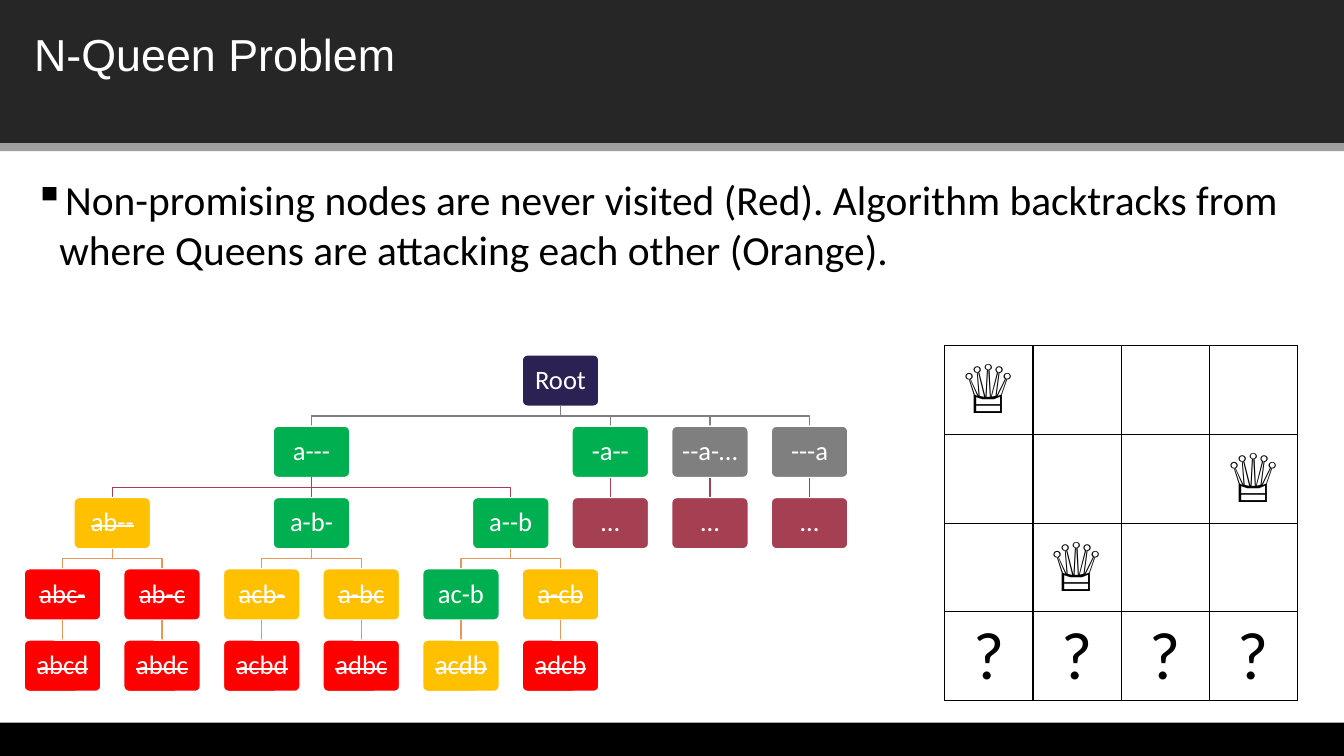
"""Builds the N-Queen backtracking slide."""
from lxml import etree
from pptx import Presentation
from pptx import util as u
from pptx.dml.color import RGBColor
from pptx.enum import shapes, text
from pptx.oxml import ns

GREEN, ORANGE, RED, GREY, WINE, NAVY = "00B050", "FFC000", "FF0000", "7F7F7F", "A53F52", "2C2153"
BRANCH_COLOURS = [GREY, WINE, "E99757", "E99757"]
LEVELS = [
    [("Root", 5, NAVY, None)],
    [("a---", 2.5, GREEN, 5), ("-a--", 5.5, GREEN, 5),
     ("--a-…", 6.5, GREY, 5), ("---a", 7.5, GREY, 5)],
    [("ab--", 0.5, ORANGE, 2.5), ("a-b-", 2.5, GREEN, 2.5), ("a--b", 4.5, GREEN, 2.5)]
    + [("…", column, WINE, column) for column in (5.5, 6.5, 7.5)],
    [("abc-", 0, RED, 0.5), ("ab-c", 1, RED, 0.5), ("acb-", 2, ORANGE, 2.5),
     ("a-bc", 3, ORANGE, 2.5), ("ac-b", 4, GREEN, 4.5), ("a-cb", 5, ORANGE, 4.5)],
    [(name, column, ORANGE if name == "acdb" else RED, column)
     for column, name in enumerate(["abcd", "abdc", "acbd", "adbc", "acdb", "adcb"])],
]
BOARD = ["♕...", "...♕", ".♕..", "????"]
NODE_WIDTH, NODE_HEIGHT = 0.76, 0.51
COLUMN_STEP = (8.03 - 0.62) / 7.5
LEVEL_STEP = (6.35 - 3.52) / 4


def colour(value):
    return RGBColor.from_string(value)


def column_x(column):
    return 0.62 + column * COLUMN_STEP


def level_y(level):
    return 3.52 + level * LEVEL_STEP


class Slide:
    def __init__(self, page, font="Calibri"):
        self.page, self.font = page, font

    def add_span(self, para, words, size, ink, font=None, struck=False):
        span = para.add_run()
        span.text = words
        span.font.name = font or self.font
        span.font.size = u.Pt(size)
        span.font.color.rgb = colour(ink)
        if struck:
            span._r.get_or_add_rPr().set("strike", "sngStrike")

    def shape(self, kind, left, top, width, height, fill, outline=None):
        box = self.page.shapes.add_shape(
            kind, u.Inches(left), u.Inches(top), u.Inches(width), u.Inches(height))
        box.shadow.inherit = False
        box.fill.solid()
        box.fill.fore_color.rgb = colour(fill)
        if outline:
            box.line.color.rgb = colour(outline)
            box.line.width = u.Pt(1)
        else:
            box.line.fill.background()
        return box

    def bar(self, top, height, fill):
        self.shape(shapes.MSO_SHAPE.RECTANGLE, 0, top, 13.33, height, fill)

    def text_box(self, left, top, width, height, words, size, ink, font=None, bullet=None):
        box = self.page.shapes.add_textbox(
            u.Inches(left), u.Inches(top), u.Inches(width), u.Inches(height))
        box.text_frame.word_wrap = True
        para = box.text_frame.paragraphs[0]
        if bullet:
            props = para._p.get_or_add_pPr()
            props.set("marL", str(u.Inches(0.25)))
            props.set("indent", str(u.Inches(-0.25)))
            etree.SubElement(props, ns.qn("a:buChar")).set("char", bullet)
        self.add_span(para, words, size, ink, font)

    def node(self, name, column, level, fill):
        box = self.shape(shapes.MSO_SHAPE.ROUNDED_RECTANGLE, column_x(column) - NODE_WIDTH / 2,
                         level_y(level), NODE_WIDTH, NODE_HEIGHT, fill, "FFFFFF")
        box.adjustments[0] = 0.1
        frame = box.text_frame
        frame.word_wrap = False
        frame.vertical_anchor = text.MSO_ANCHOR.MIDDLE
        frame.margin_left = frame.margin_right = u.Inches(0.08)
        frame.margin_top = frame.margin_bottom = u.Inches(0.08)
        para = frame.paragraphs[0]
        para.alignment = text.PP_ALIGN.CENTER
        para.line_spacing = 0.9
        self.add_span(para, name, 19, "FFFFFF", struck=fill in (ORANGE, RED))

    def branch(self, parent, column, level, ink):
        start, end = u.Inches(column_x(parent)), u.Inches(column_x(column))
        top, bottom = u.Inches(level_y(level - 1) + NODE_HEIGHT), u.Inches(level_y(level))
        if parent == column:
            link = self.page.shapes.add_connector(
                shapes.MSO_CONNECTOR.STRAIGHT, start, top, end, bottom)
            etree.SubElement(link._element.spPr, ns.qn("a:effectLst"))
        else:
            middle = (top + bottom) // 2
            builder = self.page.shapes.build_freeform(start, top)
            builder.add_line_segments([(start, middle), (end, middle), (end, bottom)], close=False)
            link = builder.convert_to_shape()
            link.shadow.inherit = False
            link.fill.background()
        link.line.color.rgb = colour(ink)
        link.line.width = u.Pt(1)

    def border(self, cell, ink):
        props = cell._tc.get_or_add_tcPr()
        for side in ("lnL", "lnR", "lnT", "lnB"):
            edge = etree.SubElement(props, ns.qn("a:" + side), w=str(u.Pt(1)))
            fill = etree.SubElement(edge, ns.qn("a:solidFill"))
            etree.SubElement(fill, ns.qn("a:srgbClr"), val=ink)

    def board(self, left, top, width, height, rows):
        table = self.page.shapes.add_table(
            len(rows), len(rows[0]), u.Inches(left), u.Inches(top),
            u.Inches(width), u.Inches(height)).table
        table.first_row = table.horz_banding = False
        for r, row in enumerate(rows):
            for c, mark in enumerate(row):
                cell = table.cell(r, c)
                self.border(cell, "000000")
                cell.fill.background()
                cell.vertical_anchor = text.MSO_ANCHOR.MIDDLE
                cell.margin_left = cell.margin_right = u.Inches(0.08)
                cell.margin_top = cell.margin_bottom = u.Inches(0.04)
                if mark != ".":
                    para = cell.text_frame.paragraphs[0]
                    para.alignment = text.PP_ALIGN.CENTER
                    self.add_span(para, mark, 48, "000000")


def main():
    deck = Presentation()
    deck.slide_width, deck.slide_height = u.Inches(13.33), u.Inches(7.5)
    slide = Slide(deck.slides.add_slide(deck.slide_layouts[6]))
    slide.bar(0, 1.42, "262626")
    slide.text_box(0.24, 0.22, 12.84, 0.64, "N-Queen Problem", 32, "FFFFFF", font="Arial")
    slide.bar(1.42, 0.08, "9F9F9F")
    slide.bar(7.17, 0.33, "000000")
    for level, nodes in enumerate(LEVELS):
        for name, column, fill, parent in nodes:
            if parent is not None:
                slide.branch(parent, column, level, BRANCH_COLOURS[level - 1])
            slide.node(name, column, level, fill)
    slide.text_box(0.24, 1.68, 12.84, 1.14,
                   "Non-promising nodes are never visited (Red). Algorithm backtracks from "
                   "where Queens are attacking each other (Orange).", 29.6, "000000", bullet="▪")
    slide.board(9.37, 3.43, 3.5, 3.52, BOARD)
    deck.save("out.pptx")


if __name__ == "__main__":
    main()
